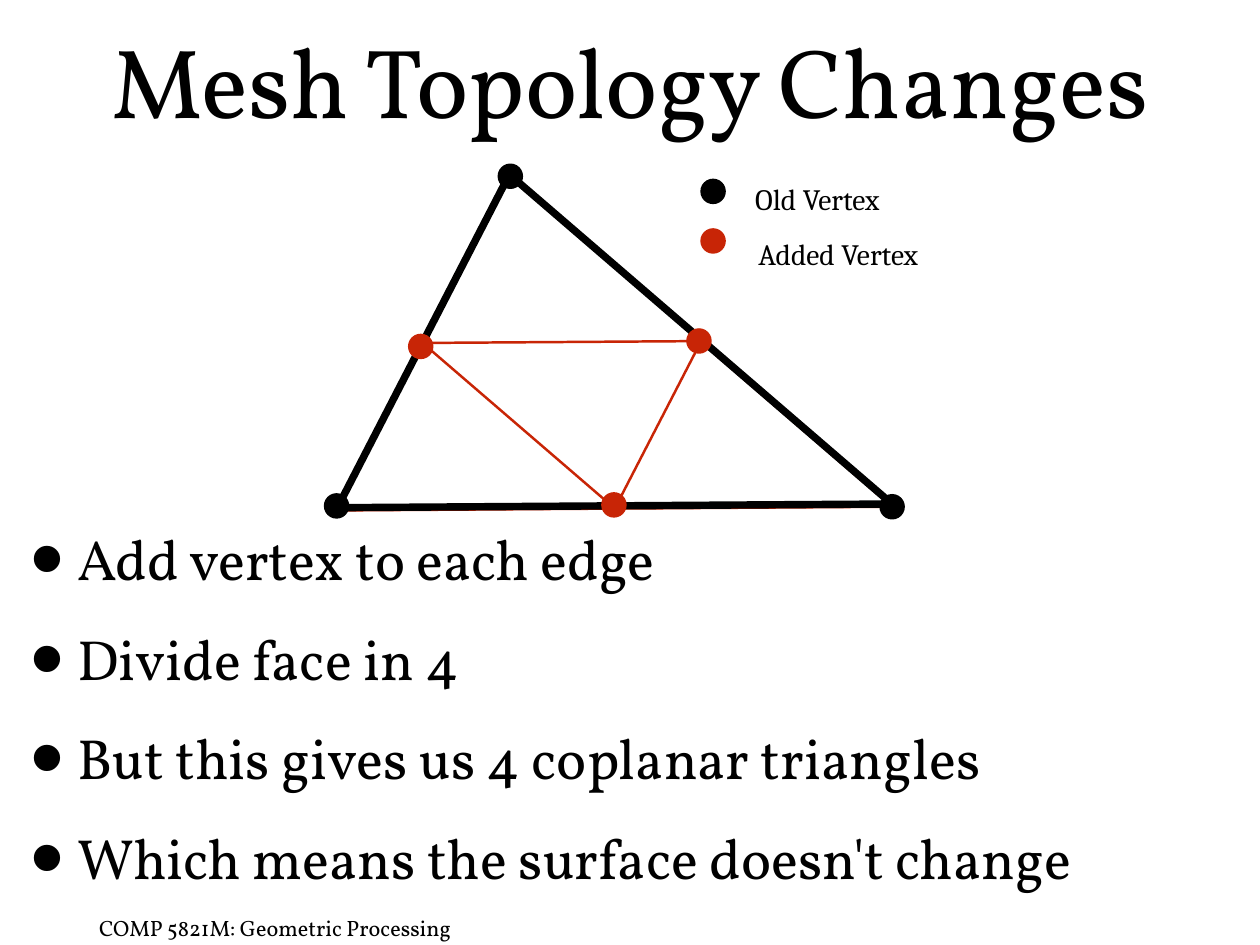
from dataclasses import dataclass

from lxml.etree import SubElement
from pptx import Presentation
from pptx.dml.color import RGBColor
from pptx.enum.shapes import MSO_SHAPE as Preset
from pptx.enum.text import MSO_ANCHOR as Anchor
from pptx.enum.text import MSO_AUTO_SIZE as AutoSize
from pptx.enum.text import PP_ALIGN as Align
from pptx.oxml.ns import qn
from pptx.shapes.base import BaseShape
from pptx.slide import Slide
from pptx.text.text import TextFrame, _Paragraph as Paragraph
from pptx.util import Pt

BLACK = "000000"
RED = "C82506"
DOT_SIZE = 18.7
INSET = 4.3
# Corners of a quarter triangle, relative to its apex
LEFT_CORNER = (-69.9, 135.4)
RIGHT_CORNER = (155.5, 133.9)


@dataclass(frozen=True)
class Triangle:
    apex_x: float
    apex_y: float
    scale: float
    color: str
    line_width: float


@dataclass(frozen=True)
class Vertex:
    left: float
    top: float
    color: str


@dataclass(frozen=True)
class Label:
    text: str
    left: float
    top: float
    width: float
    height: float
    font_name: str
    size: float
    spacing: float
    wrap: bool


TRIANGLES = [
    Triangle(414.7, 143.3, 1, RED, 2),
    Triangle(344.2, 279.4, 1, RED, 2),
    Triangle(569.5, 277.9, 1, RED, 2),
    Triangle(414, 141.8, 2, BLACK, 6),
]
VERTICES = [
    Vertex(405.4, 133.9, BLACK),
    Vertex(264.2, 401.8, BLACK),
    Vertex(715.7, 402.5, BLACK),
    Vertex(570.2, 146.2, BLACK),
    Vertex(570.2, 186.5, RED),
    Vertex(332.6, 272.2, RED),
    Vertex(558.7, 267.8, RED),
    Vertex(489.6, 401, RED),
]
LABELS = [
    Label("COMP 5821M: Geometric Processing", 0, 739.4, 447.1, 29.5, "Vollkorn", 18, 21, True),
    Label("Old Vertex", 601.2, 123.8, 126, 56.9, "Cambria", 24, 48, False),
    Label("Added Vertex", 601.2, 167.8, 159.8, 56.9, "Cambria", 24, 48, False),
]
POINTS = [
    "Add vertex to each edge",
    "Divide face in 4",
    "But this gives us 4 coplanar triangles",
    "Which means the surface doesn't change",
]


def rgb(color: str) -> RGBColor:
    return RGBColor.from_string(color)


def place(shape: BaseShape, left: float, top: float, width: float, height: float) -> None:
    shape.left, shape.top = Pt(left), Pt(top)
    shape.width, shape.height = Pt(width), Pt(height)


def set_frame(frame: TextFrame, inset: float, auto_size: AutoSize, wrap: bool = True) -> None:
    frame.margin_left = frame.margin_right = Pt(inset)
    frame.margin_top = frame.margin_bottom = Pt(inset)
    frame.vertical_anchor = Anchor.MIDDLE
    frame.word_wrap = wrap
    frame.auto_size = auto_size


def set_paragraph(para: Paragraph, font_name: str, size: float, spacing: float,
                  before: float, align: Align) -> None:
    para.alignment = align
    para.line_spacing = Pt(spacing)
    para.space_before = Pt(before)
    para.font.name = font_name
    para.font.size = Pt(size)
    para.font.color.rgb = rgb(BLACK)


def add_bullet(para: Paragraph) -> None:
    """Give the paragraph a hanging, enlarged round bullet."""
    properties = para._p.get_or_add_pPr()
    properties.set("marL", str(Pt(57.6)))
    properties.set("indent", str(Pt(-38.2)))
    SubElement(properties, qn("a:buSzPct"), val="171000")
    SubElement(properties, qn("a:buChar"), char="•")


def fill_title(page: Slide) -> None:
    title = page.shapes.title
    place(title, 0.7, 4.3, 1023.1, 120.2)
    set_frame(title.text_frame, 0, AutoSize.NONE)
    title.text_frame.text = "Mesh Topology Changes"
    set_paragraph(title.text_frame.paragraphs[0], "Vollkorn", 80, 96, 3, Align.CENTER)


def fill_body(page: Slide) -> None:
    body = page.placeholders[1]
    place(body, 0.7, 429.8, 997.2, 290.2)
    set_frame(body.text_frame, INSET, AutoSize.NONE)
    body.text_frame.text = "\n".join(POINTS)
    for para in body.text_frame.paragraphs:
        add_bullet(para)
        set_paragraph(para, "Vollkorn", 46, 55, 26, Align.LEFT)


def add_triangle(page: Slide, triangle: Triangle) -> None:
    corners = [
        (Pt(triangle.apex_x + triangle.scale * dx), Pt(triangle.apex_y + triangle.scale * dy))
        for dx, dy in (LEFT_CORNER, RIGHT_CORNER)
    ]
    builder = page.shapes.build_freeform(Pt(triangle.apex_x), Pt(triangle.apex_y))
    builder.add_line_segments(corners, close=True)
    outline = builder.convert_to_shape()
    outline.shadow.inherit = False
    outline.fill.background()
    outline.line.color.rgb = rgb(triangle.color)
    outline.line.width = Pt(triangle.line_width)


def add_vertex(page: Slide, vertex: Vertex) -> None:
    dot = page.shapes.add_shape(
        Preset.OVAL, Pt(vertex.left), Pt(vertex.top), Pt(DOT_SIZE), Pt(DOT_SIZE))
    dot.shadow.inherit = False
    dot.fill.solid()
    dot.fill.fore_color.rgb = rgb(vertex.color)
    dot.line.color.rgb = rgb(vertex.color)
    dot.line.width = Pt(2)


def add_label(page: Slide, label: Label) -> None:
    box = page.shapes.add_textbox(
        Pt(label.left), Pt(label.top), Pt(label.width), Pt(label.height))
    set_frame(box.text_frame, INSET, AutoSize.SHAPE_TO_FIT_TEXT, label.wrap)
    box.text_frame.text = label.text
    set_paragraph(box.text_frame.paragraphs[0], label.font_name, label.size,
                  label.spacing, 0, Align.CENTER)


def main() -> None:
    deck = Presentation()
    deck.slide_width, deck.slide_height = Pt(1024), Pt(768)
    page = deck.slides.add_slide(deck.slide_layouts[1])
    fill_title(page)
    fill_body(page)
    for triangle in TRIANGLES:
        add_triangle(page, triangle)
    for vertex in VERTICES:
        add_vertex(page, vertex)
    for label in LABELS:
        add_label(page, label)
    deck.save("out.pptx")


if __name__ == "__main__":
    main()
